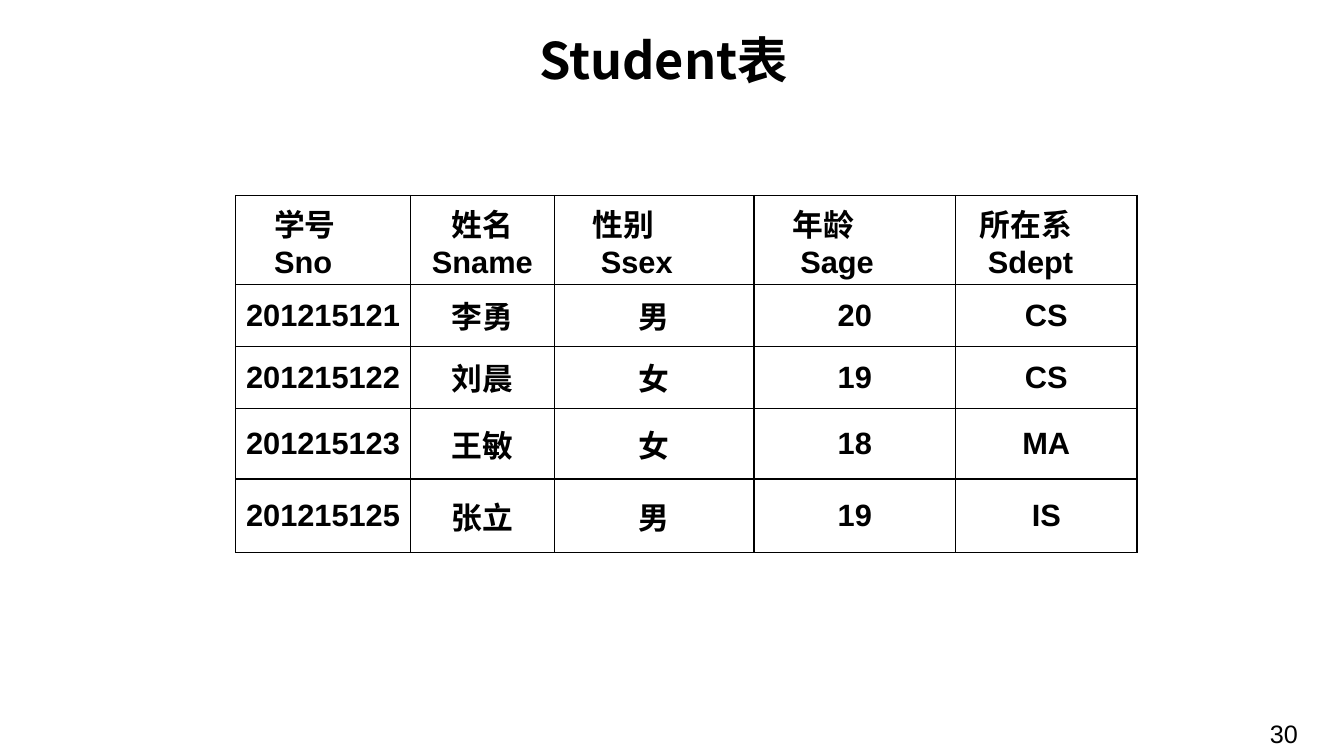
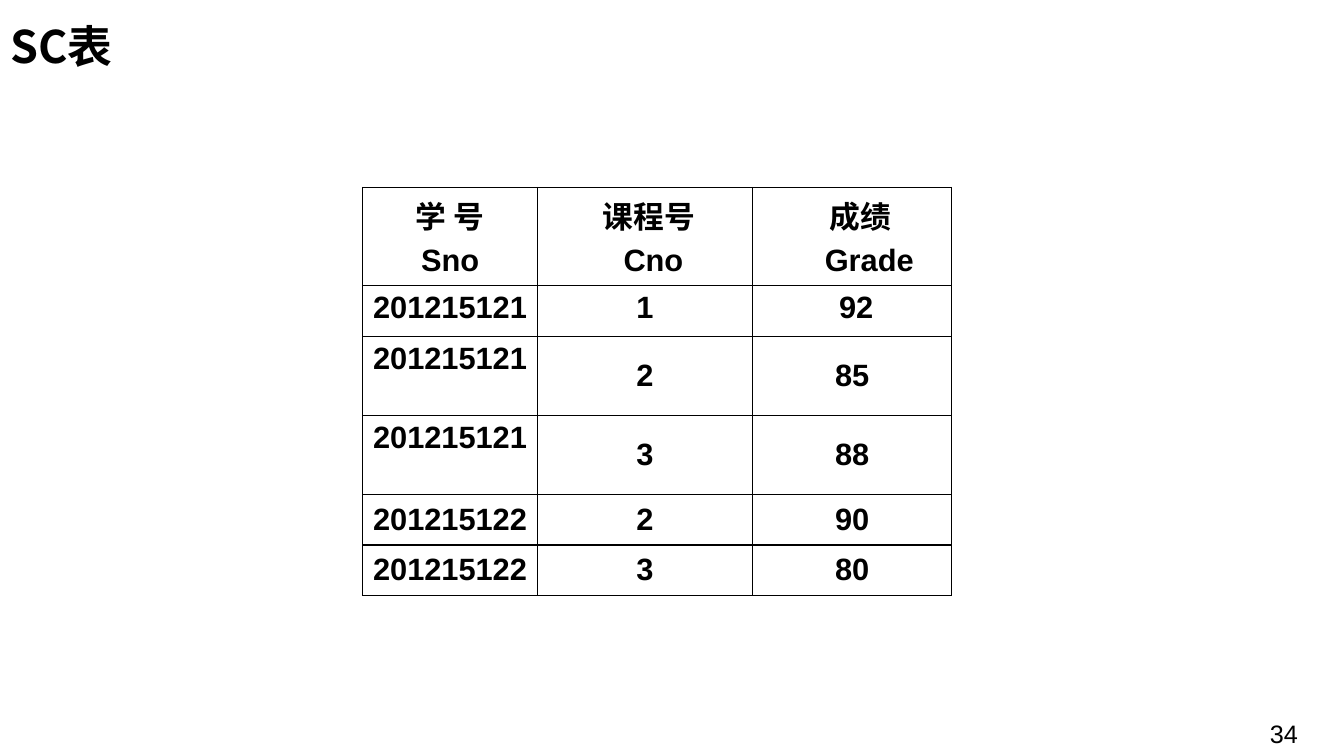
import dataclasses

import pptx
import pptx.dml.color
import pptx.enum.text
import pptx.oxml
import pptx.oxml.ns
import pptx.util

BLACK = pptx.dml.color.RGBColor(0x00, 0x00, 0x00)
BODY_FONT = "Arial"
CHINESE_FONT = "Noto Sans CJK SC"
SLIDE_WIDTH = pptx.util.Inches(13.33)
SLIDE_HEIGHT = pptx.util.Inches(7.5)
TITLE_ONLY_LAYOUT = 5
TABLE_TEXT_SIZE = 22
CELL_SIDE_MARGIN = pptx.util.Inches(0.09)

LEFT = pptx.enum.text.PP_ALIGN.LEFT
CENTER = pptx.enum.text.PP_ALIGN.CENTER
RIGHT = pptx.enum.text.PP_ALIGN.RIGHT
TOP = pptx.enum.text.MSO_ANCHOR.TOP
MIDDLE = pptx.enum.text.MSO_ANCHOR.MIDDLE


@dataclasses.dataclass
class Cell:
    """Lines of one table cell, with one left indent in inches for each line."""
    lines: tuple
    indents: tuple = (0, 0)
    align: object = CENTER
    anchor: object = MIDDLE


def across(percent):
    return round(SLIDE_WIDTH * percent / 100)


def down(percent):
    return round(SLIDE_HEIGHT * percent / 100)


def write_text(paragraph, text, size=TABLE_TEXT_SIZE, font=BODY_FONT, bold=True,
               align=CENTER, indent=0, space_before=0):
    paragraph.alignment = align
    paragraph.space_before = pptx.util.Pt(space_before)
    if indent:
        properties = paragraph._p.get_or_add_pPr()
        properties.set("marL", str(pptx.util.Inches(indent)))
        properties.set("indent", "0")
    run = paragraph.add_run()
    run.text = text
    run.font.name = font
    run.font.size = pptx.util.Pt(size)
    run.font.bold = bold
    run.font.color.rgb = BLACK
    east_asian = pptx.oxml.parse_xml(
        f'<a:ea {pptx.oxml.ns.nsdecls("a")} typeface="{CHINESE_FONT}"/>')
    run._r.get_or_add_rPr().append(east_asian)


def add_borders(cell, width=1):
    properties = cell._tc.get_or_add_tcPr()
    for side in ("lnL", "lnR", "lnT", "lnB"):
        properties.append(pptx.oxml.parse_xml(
            f'<a:{side} {pptx.oxml.ns.nsdecls("a")} w="{pptx.util.Pt(width)}">'
            f'<a:solidFill><a:srgbClr val="{BLACK}"/></a:solidFill></a:{side}>'))


def fill_cell(cell, content, space_before):
    if isinstance(content, str):
        content = Cell((content,))
    add_borders(cell)
    cell.fill.background()
    cell.margin_left = cell.margin_right = CELL_SIDE_MARGIN
    cell.vertical_anchor = content.anchor
    frame = cell.text_frame
    for index, (line, indent) in enumerate(zip(content.lines, content.indents)):
        paragraph = frame.add_paragraph() if index else frame.paragraphs[0]
        write_text(paragraph, line, align=content.align, indent=indent,
                   space_before=space_before if index else 0)


def add_grid_table(slide, left, top, column_shares, row_shares, rows, space_before=0):
    """Lay out a bordered table; all lengths are percentages of the slide."""
    table = slide.shapes.add_table(
        len(row_shares), len(column_shares), across(left), down(top),
        across(sum(column_shares)), down(sum(row_shares))).table
    table.first_row = table.horz_banding = False
    for column, share in zip(table.columns, column_shares):
        column.width = across(share)
    for row, share, contents in zip(table.rows, row_shares, rows):
        row.height = down(share)
        for cell, content in zip(row.cells, contents):
            fill_cell(cell, content, space_before)


def add_page_number(slide, number):
    box = slide.shapes.add_textbox(across(87.9), down(94.4), across(9.4), down(5.33))
    box.text_frame.word_wrap = True
    write_text(box.text_frame.paragraphs[0], number, size=18, bold=False, align=RIGHT)


def add_titled_slide(presentation, title, size, left, top, height, number):
    slide = presentation.slides.add_slide(presentation.slide_layouts[TITLE_ONLY_LAYOUT])
    shape = slide.shapes.title
    shape.left, shape.top = across(left), down(top)
    shape.width, shape.height = across(60.6), down(height)
    frame = shape.text_frame
    frame.auto_size = pptx.enum.text.MSO_AUTO_SIZE.NONE
    frame.vertical_anchor = MIDDLE
    write_text(frame.paragraphs[0], title, size=size, font=CHINESE_FONT, align=LEFT)
    add_page_number(slide, number)
    return slide


def add_student_slide(presentation):
    slide = add_titled_slide(presentation, "Student表", size=36, left=39.38,
                             top=3.73, height=8.27, number="30")
    rows = [
        [Cell(("学号", "Sno"), (0.29, 0.29), LEFT),
         Cell(("姓名", "Sname")),
         Cell(("性别", "Ssex"), (0.29, 0.37), LEFT),
         Cell(("年龄", "Sage"), (0.29, 0.37), LEFT),
         Cell(("所在系", "Sdept"), (0.15, 0.23), LEFT)],
        ["201215121", "李勇", "男", "20", "CS"],
        ["201215122", "刘晨", "女", "19", "CS"],
        ["201215123", "王敏", "女", "18", "MA"],
        ["201215125", "张立", "男", "19", "IS"],
    ]
    add_grid_table(slide, 17.55, 25.87, (12.98, 10.73, 14.85, 15, 13.5),
                   (11.77, 8.2, 8.2, 9.33, 9.73), rows)


def add_course_grade_slide(presentation):
    slide = add_titled_slide(presentation, "SC表", size=32, left=0,
                             top=0, height=12, number="34")
    first_student = Cell(("201215121",), anchor=TOP)
    rows = [
        [Cell(("学 号", "Sno"), anchor=TOP),
         Cell(("课程号", "Cno"), (0.08, 0.17), anchor=TOP),
         Cell(("成绩", "Grade"), (0.17, 0.34), anchor=TOP)],
        [first_student, Cell(("1",), anchor=TOP), Cell(("92",), (0.08,), anchor=TOP)],
        [first_student, "2", "85"],
        [first_student, "3", "88"],
        ["201215122", "2", "90"],
        ["201215122", "3", "80"],
    ]
    add_grid_table(slide, 27, 24.8, (12.98, 16, 14.85),
                   (13, 6.7, 10.45, 10.45, 6.7, 6.7), rows, space_before=5)


def main():
    presentation = pptx.Presentation()
    presentation.slide_width = SLIDE_WIDTH
    presentation.slide_height = SLIDE_HEIGHT
    add_student_slide(presentation)
    add_course_grade_slide(presentation)
    presentation.save("out.pptx")


if __name__ == "__main__":
    main()
